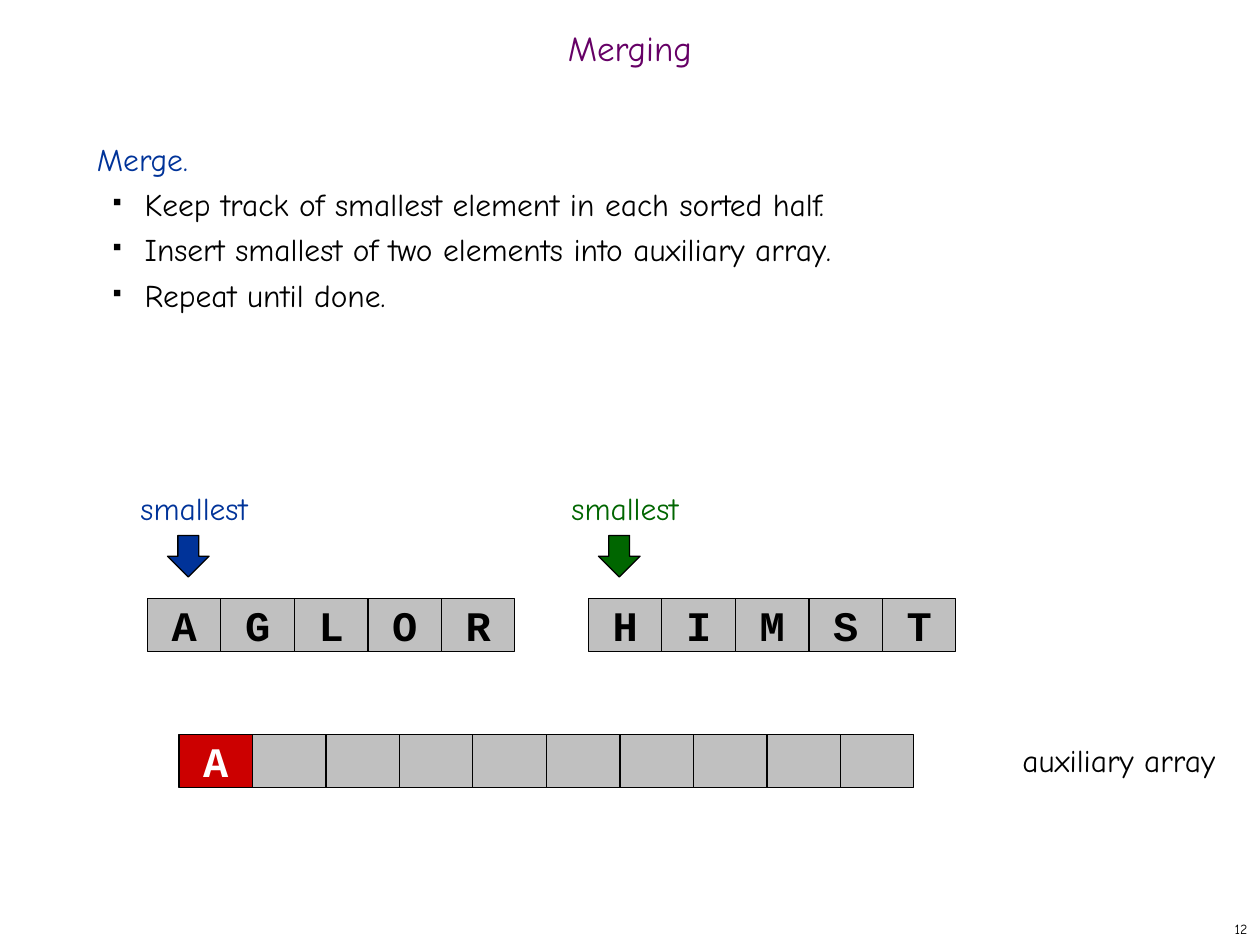
from lxml import etree
from pptx import Presentation
from pptx import util as u
from pptx.dml.color import RGBColor
from pptx.enum import shapes, text
from pptx.oxml.ns import qn

BLACK = RGBColor(0, 0, 0)
WHITE = RGBColor(0xFF, 0xFF, 0xFF)
GRAY = RGBColor(0xC0, 0xC0, 0xC0)
BLUE = RGBColor(0, 0x33, 0x99)
GREEN = RGBColor(0, 0x66, 0)
RED = RGBColor(0xCC, 0, 0)
PURPLE = RGBColor(0x66, 0, 0x66)

CELL = 7 / 12
ALIGN = text.PP_ALIGN
MIDDLE = text.MSO_ANCHOR.MIDDLE


class Deck:
    """Style and current slide, with one method per kind of element."""

    font = "Comic Neue"
    mono = "Courier New"

    def __init__(self, wide, high):
        self.prs = Presentation()
        self.prs.slide_width = u.Inches(wide)
        self.prs.slide_height = u.Inches(high)
        self.slide = self.prs.slides.add_slide(self.prs.slide_layouts[6])

    def style(self, para, size, color, font=None, bold=False):
        for run in para.runs:
            run.font.name = font or self.font
            run.font.size = u.Pt(size)
            run.font.bold = bold
            run.font.color.rgb = color

    def label(self, words, box, size=18, color=BLACK, align=ALIGN.CENTER,
              anchor=text.MSO_ANCHOR.TOP, wrap=True):
        shape = self.slide.shapes.add_textbox(*map(u.Inches, box))
        frame = shape.text_frame
        frame.text = words
        frame.word_wrap = wrap
        frame.vertical_anchor = anchor
        for para in frame.paragraphs:
            para.alignment = align
            self.style(para, size, color)
        return frame

    def bullet(self, para):
        props = para._p.get_or_add_pPr()
        props.set("marL", str(u.Inches(0.38)))
        props.set("indent", str(u.Inches(-0.25)))
        tint = etree.SubElement(props, qn("a:buClr"))
        etree.SubElement(tint, qn("a:srgbClr"), val=str(BLACK))
        etree.SubElement(props, qn("a:buSzPct"), val="35000")
        etree.SubElement(props, qn("a:buChar"), char="■")

    def block(self, kind, box, fill, home=None):
        home = home or self.slide.shapes
        shape = home.add_shape(kind, *map(u.Inches, box))
        shape.shadow.inherit = False
        shape.fill.solid()
        shape.fill.fore_color.rgb = fill
        shape.line.color.rgb = BLACK
        shape.line.width = u.Pt(0.75)
        return shape

    def cell(self, left, top, letter="", fill=GRAY, color=BLACK, home=None):
        shape = self.block(shapes.MSO_SHAPE.RECTANGLE,
                           (left, top, CELL, 0.42), fill, home)
        if letter:
            frame = shape.text_frame
            frame.text = letter
            frame.word_wrap = False
            frame.vertical_anchor = MIDDLE
            para = frame.paragraphs[0]
            para.alignment = ALIGN.CENTER
            self.style(para, 24, color, self.mono, True)

    def array(self, left, top, letters):
        group = self.slide.shapes.add_group_shape()
        for i, letter in enumerate(letters):
            self.cell(left + i * CELL, top, letter, home=group.shapes)

    def marker(self, left, color):
        frame = self.label("smallest", (left, 3.83, 2.08, 0.4), color=color)
        frame.paragraphs[0].space_before = u.Pt(11.2)
        self.block(shapes.MSO_SHAPE.DOWN_ARROW,
                   (left + 0.83, 4.25, 0.33, 0.33), color)


def main():
    deck = Deck(10, 7.5)

    # Title and page number
    title = deck.label("Merging", (0, 0.17, 10, 0.5), 20, PURPLE,
                       anchor=MIDDLE)
    title.paragraphs[0].line_spacing = 0.7
    deck.label("12", (7.92, 7.25, 2.08, 0.25), 8, align=ALIGN.RIGHT,
               anchor=MIDDLE, wrap=False)

    # Merge steps
    lines = ["Merge.",
             "Keep track of smallest element in each sorted half.",
             "Insert smallest of two elements into auxiliary array.",
             "Repeat until done."]
    body = deck.label("\n".join(lines), (0.67, 1, 8.58, 5.92),
                      align=ALIGN.LEFT)
    for para in body.paragraphs:
        para.line_spacing = u.Pt(25.9)
    head, *steps = body.paragraphs
    deck.style(head, 18, BLUE)
    for step in steps:
        step.level = 1
        deck.bullet(step)

    # Sorted halves, each with its smallest element marked
    for left, color in ((0.5, BLUE), (3.92, GREEN)):
        deck.marker(left, color)
    for left, letters in ((1.17, "AGLOR"), (4.67, "HIMST")):
        deck.array(left, 4.75, letters)

    # Auxiliary array
    for i in range(1, 10):
        deck.cell(1.42 + i * CELL, 5.83)
    deck.cell(1.42, 5.83, "A", RED, WHITE)
    note = deck.label("auxiliary array", (7.92, 5.83, 1.92, 0.4))
    note.paragraphs[0].space_before = u.Pt(11.2)

    deck.prs.save("out.pptx")


if __name__ == "__main__":
    main()
